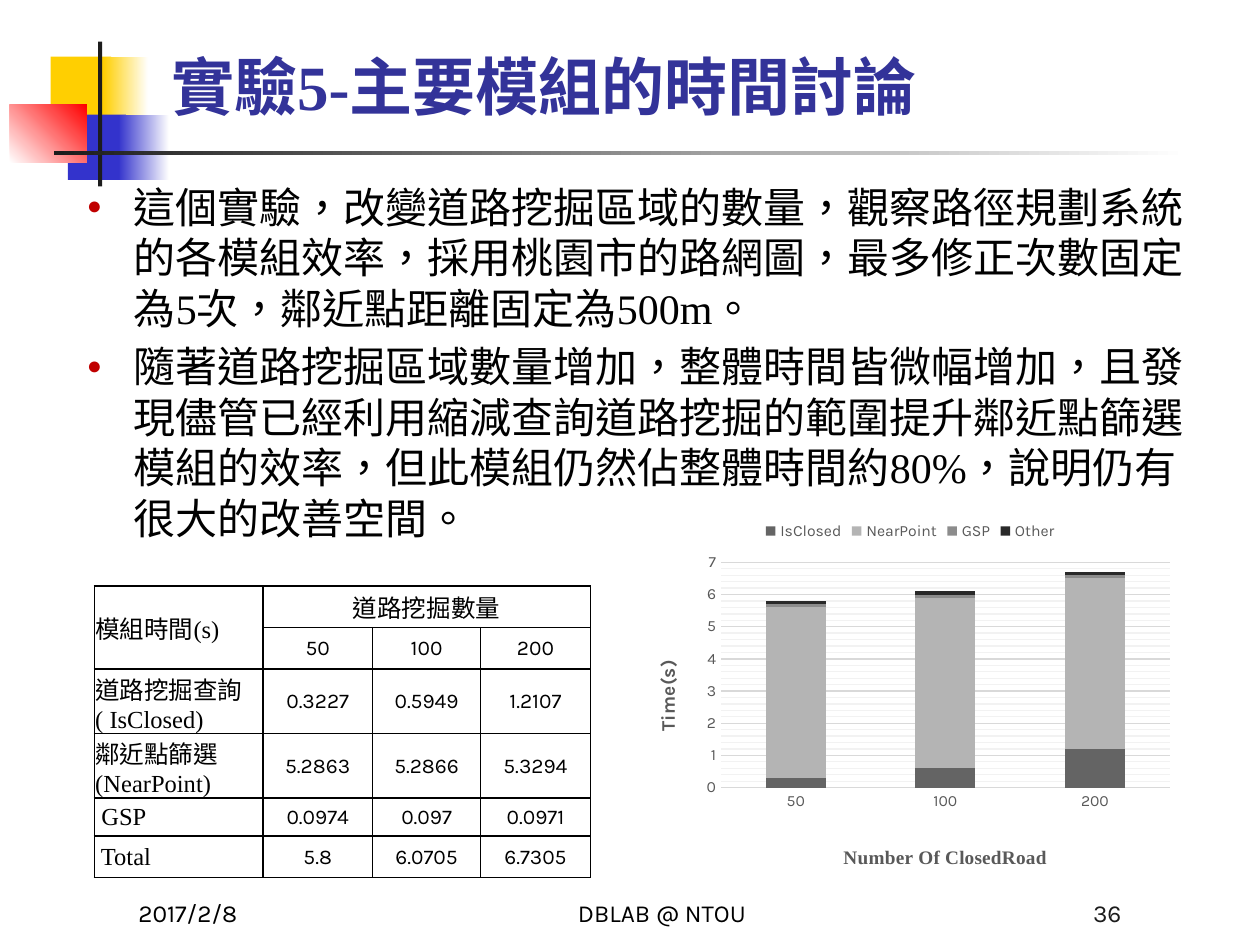
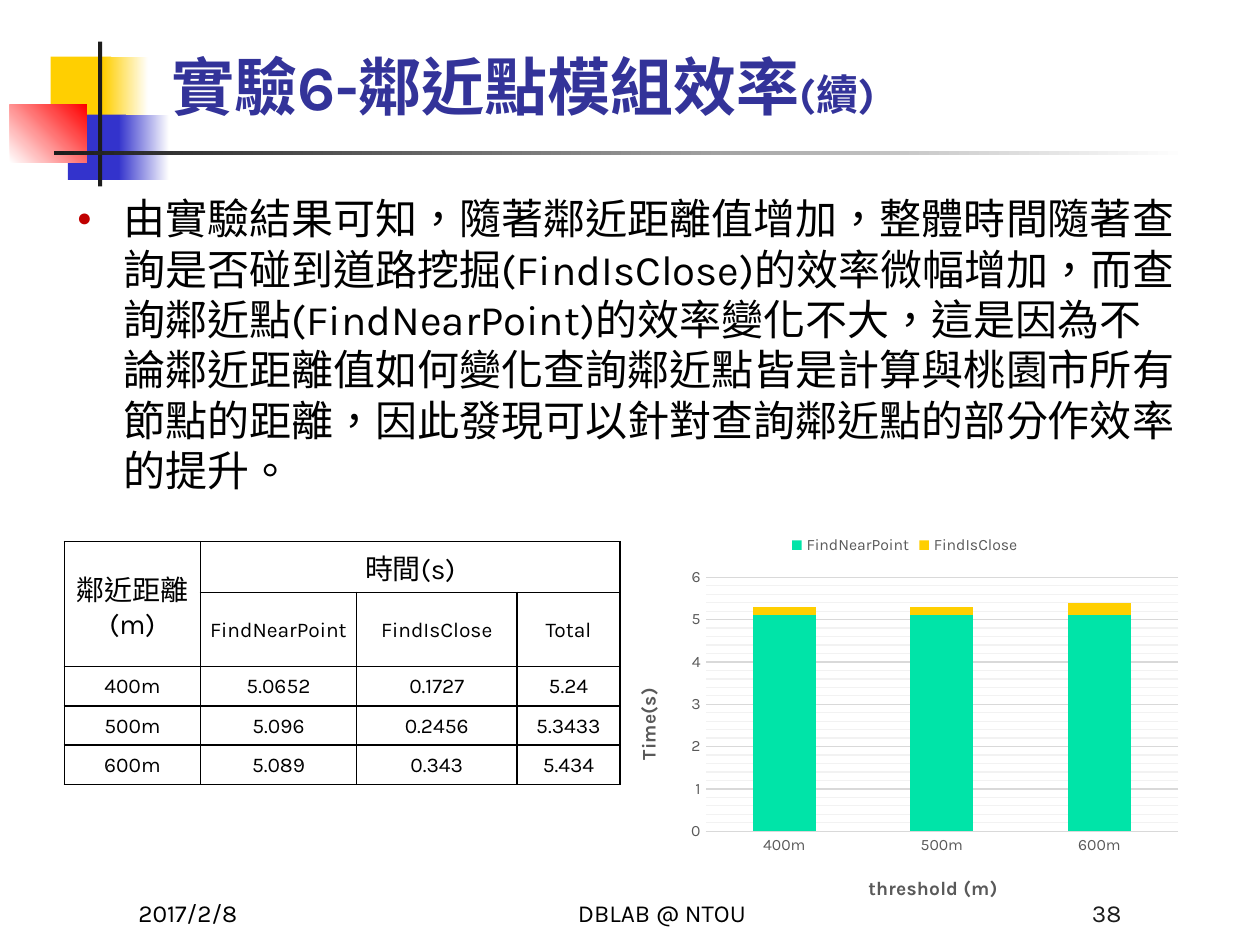
from lxml import etree
from pptx import Presentation
from pptx.chart.data import CategoryChartData
from pptx.dml.color import RGBColor
from pptx.enum.chart import XL_CHART_TYPE, XL_LEGEND_POSITION, XL_TICK_MARK
from pptx.enum.shapes import MSO_SHAPE
from pptx.enum.text import MSO_ANCHOR, PP_ALIGN
from pptx.oxml.ns import qn
from pptx.util import Cm, Pt

STACKED = XL_CHART_TYPE.COLUMN_STACKED
LEGEND_TOP = XL_LEGEND_POSITION.TOP
NO_TICK = XL_TICK_MARK.NONE
RECTANGLE = MSO_SHAPE.RECTANGLE
TOP, MIDDLE, BOTTOM = MSO_ANCHOR.TOP, MSO_ANCHOR.MIDDLE, MSO_ANCHOR.BOTTOM
LEFT, CENTER, RIGHT = PP_ALIGN.LEFT, PP_ALIGN.CENTER, PP_ALIGN.RIGHT

SANS, SERIF = "Karla", "Times New Roman"
BLACK, WHITE, INK = "000000", "FFFFFF", "1C1C1C"
YELLOW, BLUE, RED = "FFCF01", "3333CC", "FF0000"
TITLE_BLUE, BULLET_RED = "333399", "C00000"
AXIS_GRAY, GRID_GRAY, MINOR_GRAY = "595959", "D9D9D9", "F2F2F2"

# Left, top, width, height in cm, then one fill colour or two gradient colours and an angle
DECORATIONS = [
    (1.02, 1.14, 1.22, 1.32, YELLOW),
    (2.08, 1.14, 0.91, 1.32, YELLOW, WHITE, 0),
    (1.37, 2.31, 1.17, 1.32, BLUE),
    (2.39, 2.31, 1.02, 1.32, BLUE, WHITE, 0),
    (0.2, 2.11, 1.55, 1.17, WHITE, RED, 45),
    (1.98, 0.84, 0.08, 2.92, INK),
    (1.09, 3.05, 22.86, 0.08, INK, WHITE, 0),
]


def rgb(color):
    return RGBColor.from_string(color)


def style_font(font, size=12, name=SANS, color=BLACK, bold=False):
    font.size, font.name, font.bold = Pt(size), name, bold
    font.color.rgb = rgb(color)


def write(paragraph, text, align=LEFT, **font_format):
    """Append one formatted run to a paragraph."""
    paragraph.alignment = align
    run = paragraph.add_run()
    run.text = text
    style_font(run.font, **font_format)
    properties = run.font._element
    properties.set("lang", "zh-TW")
    properties.set("altLang", "en-US")


def add_element(parent, tag, **attributes):
    element = etree.SubElement(parent, qn(tag))
    for key, value in attributes.items():
        element.set(key, str(value))
    return element


def add_bullet(paragraph):
    properties = paragraph._p.get_or_add_pPr()
    properties.set("marL", str(Cm(0.95)))
    properties.set("indent", str(-Cm(0.95)))
    color = add_element(properties, "a:buClr")
    add_element(color, "a:srgbClr", val=BULLET_RED)
    add_element(properties, "a:buSzPct", val=60000)
    add_element(properties, "a:buFont", typeface=SERIF)
    add_element(properties, "a:buChar", char="●")


def add_line(parent, tag, color, width):
    line = add_element(parent, tag, w=Pt(width))
    fill = add_element(line, "a:solidFill")
    add_element(fill, "a:srgbClr", val=color)


def add_borders(cell):
    properties = cell._tc.get_or_add_tcPr()
    for side in "LRTB":
        add_line(properties, f"a:ln{side}", BLACK, 1)


def place(element, index, x, y, w=None, h=None):
    """Give a chart part a fixed place, in fractions of the chart."""
    for previous in element.findall(qn("c:layout")):
        element.remove(previous)
    layout = etree.Element(qn("c:layout"))
    element.insert(index, layout)
    manual = add_element(layout, "c:manualLayout")
    if w:
        add_element(manual, "c:layoutTarget", val="inner")
    add_element(manual, "c:xMode", val="edge")
    add_element(manual, "c:yMode", val="edge")
    for key, value in zip("xywh", (x, y, w, h)):
        if value is not None:
            add_element(manual, f"c:{key}", val=value)


class Deck:
    def __init__(self):
        self.presentation = Presentation()
        self.presentation.slide_width = Cm(25.4)
        self.presentation.slide_height = Cm(19.05)
        self.slide = None

    def start_slide(self, number, *title_runs):
        """Start a slide with its decoration, title and footer."""
        self.slide = self.presentation.slides.add_slide(self.presentation.slide_layouts[6])
        for decoration in DECORATIONS:
            self.rectangle(*decoration)
        title = self.text_box(3.2, 0.43, 21.64, 2.18, BOTTOM).paragraphs[0]
        for text, size, font in title_runs:
            write(title, text, size=size, name=font, color=TITLE_BLUE, bold=True)
        for left, width, text, align, color in (
            (2.54, 5.28, "2017/2/8", LEFT, BLACK),
            (9.32, 8.05, "DBLAB @ NTOU", CENTER, BLACK),
            (17.58, 5.28, str(number), RIGHT, INK),
        ):
            footer = self.text_box(left, 17.55, width, 1.27, BOTTOM)
            write(footer.paragraphs[0], text, align, size=14, color=color)

    def rectangle(self, left, top, width, height, color, end_color=None, angle=0):
        shape = self.slide.shapes.add_shape(RECTANGLE, Cm(left), Cm(top), Cm(width), Cm(height))
        shape.shadow.inherit = False
        shape.line.fill.background()
        if end_color is None:
            shape.fill.solid()
            shape.fill.fore_color.rgb = rgb(color)
            return
        shape.fill.gradient()
        shape.fill.gradient_angle = angle
        for stop, stop_color in zip(shape.fill.gradient_stops, (color, end_color)):
            stop.color.rgb = rgb(stop_color)

    def text_box(self, left, top, width, height, anchor=TOP):
        box = self.slide.shapes.add_textbox(Cm(left), Cm(top), Cm(width), Cm(height))
        box.text_frame.word_wrap = True
        box.text_frame.vertical_anchor = anchor
        return box.text_frame

    def bullets(self, left, top, width, height, texts, font):
        frame = self.text_box(left, top, width, height)
        for index, text in enumerate(texts):
            paragraph = frame.add_paragraph() if index else frame.paragraphs[0]
            if index:
                paragraph.space_before = Pt(4.8)
            add_bullet(paragraph)
            write(paragraph, text, size=24, name=font)

    def table(self, left, top, widths, heights, rows, header, label):
        """Add a table whose first cell spans two rows and whose header spans the rest."""
        table = self.slide.shapes.add_table(
            len(heights), len(widths), Cm(left), Cm(top), Cm(sum(widths)), Cm(sum(heights))
        ).table
        table.first_row = table.horz_banding = False
        for column, width in zip(table.columns, widths):
            column.width = Cm(width)
        for row, height in zip(table.rows, heights):
            row.height = Cm(height)
        table.cell(0, 0).merge(table.cell(1, 0))
        table.cell(0, 1).merge(table.cell(0, len(widths) - 1))
        for row_index, row in enumerate(rows):
            for column_index, text in enumerate(row):
                cell = table.cell(row_index, column_index)
                cell.margin_left = cell.margin_right = cell.margin_top = Cm(0.02)
                cell.margin_bottom = 0
                cell.vertical_anchor = MIDDLE
                add_borders(cell)
                cell.fill.background()
                if text is None:
                    continue
                text_format = {"align": CENTER}
                if row_index == 0:
                    text_format.update(header)
                if column_index == 0:
                    text_format.update(label)
                for line_index, line in enumerate(text.split("\n")):
                    frame = cell.text_frame
                    paragraph = frame.add_paragraph() if line_index else frame.paragraphs[0]
                    write(paragraph, line, **text_format)

    def chart(self, left, top, width, height, categories, series, maximum,
              plot, category_title, category_font, category_place, value_place):
        """Add a stacked column chart of times."""
        data = CategoryChartData()
        data.categories = categories
        for name, values, _ in series:
            data.add_series(name, values)
        chart = self.slide.shapes.add_chart(
            STACKED, Cm(left), Cm(top), Cm(width), Cm(height), data
        ).chart
        style_font(chart.font, size=10)
        chart.has_title = False
        chart.has_legend = True
        chart.legend.position = LEGEND_TOP
        chart.legend.include_in_layout = False
        style_font(chart.legend.font, size=9, color=AXIS_GRAY)
        columns = chart.plots[0]
        columns.gap_width, columns.overlap = 150, 100
        columns.vary_by_categories = False
        for column, (_, _, color) in zip(columns.series, series):
            column.format.fill.solid()
            column.format.fill.fore_color.rgb = rgb(color)

        # Axes and their titles
        category_axis, value_axis = chart.category_axis, chart.value_axis
        for axis, text, font, position in (
            (category_axis, category_title, category_font, category_place),
            (value_axis, "Time(s)", SANS, value_place),
        ):
            axis.major_tick_mark = axis.minor_tick_mark = NO_TICK
            style_font(axis.tick_labels.font, size=9, color=AXIS_GRAY)
            frame = axis.axis_title.text_frame
            write(frame.paragraphs[0], text, CENTER, size=11, name=font,
                  color=AXIS_GRAY, bold=True)
            place(axis.axis_title._element, 1, *position)
        body = value_axis.axis_title.text_frame._txBody.bodyPr
        body.set("rot", "-5400000")
        body.set("vert", "horz")

        # Scale and gridlines
        category_axis.has_major_gridlines = False
        value_axis.minimum_scale, value_axis.maximum_scale = 0, maximum
        value_axis.major_unit, value_axis.minor_unit = 1, 0.2
        value_axis.has_major_gridlines = value_axis.has_minor_gridlines = True
        value_axis.format.line.fill.background()
        for line in (category_axis.format.line, value_axis.major_gridlines.format.line):
            line.color.rgb = rgb(GRID_GRAY)
            line.width = Pt(0.75)
        minor_gridlines = value_axis._element.find(qn("c:minorGridlines"))
        add_line(add_element(minor_gridlines, "c:spPr"), "a:ln", MINOR_GRAY, 0.75)
        place(chart._chartSpace.chart.plotArea, 0, *plot)


def build_module_times(deck):
    deck.start_slide(36, ("實驗5-主要模組的時間討論", 36, SERIF))
    deck.bullets(1.5, 3.53, 22.68, 14.05, [
        "這個實驗，改變道路挖掘區域的數量，觀察路徑規劃系統的各模組效率，採用桃園市的路網圖，"
        "最多修正次數固定為5次，鄰近點距離固定為500m。",
        "隨著道路挖掘區域數量增加，整體時間皆微幅增加，且發現儘管已經利用縮減查詢道路挖掘的範圍"
        "提升鄰近點篩選模組的效率，但此模組仍然佔整體時間約80%，說明仍有很大的改善空間。",
    ], SERIF)
    heading = {"size": 14, "name": SERIF}
    deck.table(1.9, 11.81, [3.4, 2.21, 2.18, 2.21], [0.84, 0.84, 1.3, 1.3, 0.76, 0.84], [
        ["模組時間(s)", "道路挖掘數量", None, None],
        [None, "50", "100", "200"],
        ["道路挖掘查詢\n( IsClosed)", "0.3227", "0.5949", "1.2107"],
        ["鄰近點篩選\n(NearPoint)", "5.2863", "5.2866", "5.3294"],
        [" GSP", "0.0974", "0.097", "0.0971"],
        [" Total", "5.8", "6.0705", "6.7305"],
    ], header=heading, label={**heading, "align": LEFT})
    deck.chart(12.9, 10.24, 10.9, 7.39, ["50", "100", "200"], [
        ("IsClosed", (0.3, 0.6, 1.2), "646464"),
        ("NearPoint", (5.3, 5.3, 5.3), "B4B4B4"),
        ("GSP", (0.1, 0.1, 0.1), "8C8C8C"),
        ("Other", (0.1, 0.1, 0.1), "292929"),
    ], 7, plot=(0.15, 0.15, 0.83, 0.62), category_title="Number Of ClosedRoad",
        category_font=SERIF, category_place=(0.37, 0.92), value_place=(0.02, 0.41))


def build_near_point_efficiency(deck):
    deck.start_slide(38, ("實驗6-鄰近點模組效率", 36, SANS), ("(續)", 24, SANS))
    deck.bullets(1.3, 3.76, 22.68, 13.77, [
        "由實驗結果可知，隨著鄰近距離值增加，整體時間隨著查詢是否碰到道路挖掘(FindIsClose)的效率"
        "微幅增加，而查詢鄰近點(FindNearPoint)的效率變化不大，這是因為不論鄰近距離值如何變化"
        "查詢鄰近點皆是計算與桃園市所有節點的距離，因此發現可以針對查詢鄰近點的部分作效率的提升。",
    ], SANS)
    deck.chart(12.5, 10.52, 11.48, 8, ["400m", "500m", "600m"], [
        ("FindNearPoint", (5.1, 5.1, 5.1), "00E4A8"),
        ("FindIsClose", (0.2, 0.2, 0.3), YELLOW),
    ], 6, plot=(0.15, 0.14, 0.83, 0.64), category_title="threshold (m)",
        category_font=SANS, category_place=(0.43, 0.88), value_place=(0.02, 0.41))
    deck.table(1.3, 10.92, [2.74, 3.15, 3.23, 2.08], [1.02, 1.5, 0.79, 0.79, 0.79], [
        ["鄰近距離(m)", "時間(s)", None, None],
        [None, "FindNearPoint", "FindIsClose", "Total"],
        ["400m", "5.0652", "0.1727", "5.24"],
        ["500m", "5.096", "0.2456", "5.3433"],
        ["600m", "5.089", "0.343", "5.434"],
    ], header={"size": 16}, label={})


def main():
    deck = Deck()
    build_module_times(deck)
    build_near_point_efficiency(deck)
    deck.presentation.save("out.pptx")


if __name__ == "__main__":
    main()
